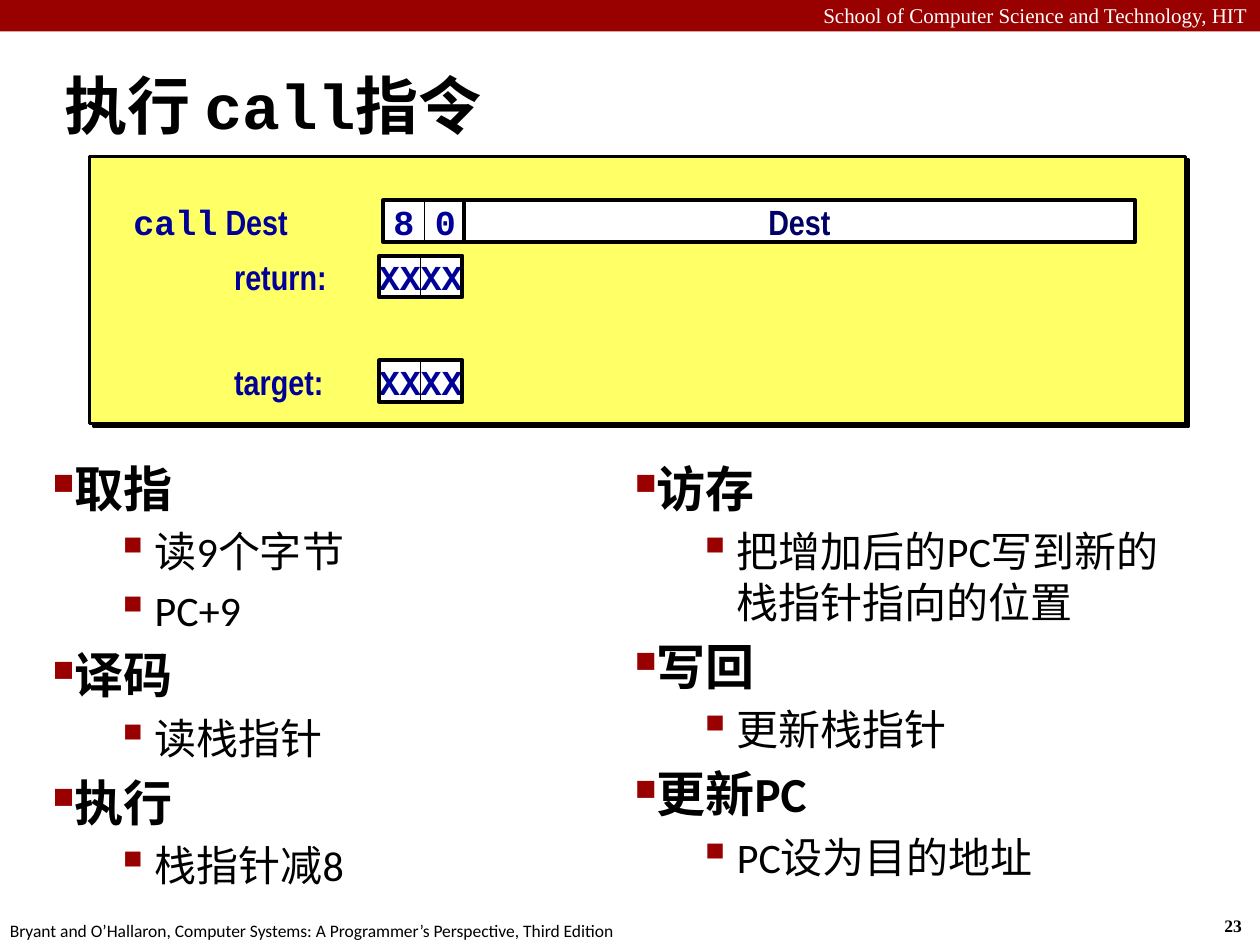
from dataclasses import dataclass

import pptx
import pptx.dml.color
import pptx.enum.shapes
import pptx.enum.text
import pptx.oxml
import pptx.oxml.ns
import pptx.util
from pptx.util import Inches

COLORS = {
    "crimson": "990000",
    "panel": "FFFF66",
    "code": "000099",
    "operand": "000066",
    "black": "000000",
    "white": "FFFFFF",
}
SANS, SERIF, MONO, NARROW = "Calibri", "Times New Roman", "Courier New", "Arial Narrow"
LEFT = pptx.enum.text.PP_ALIGN.LEFT
CENTER = pptx.enum.text.PP_ALIGN.CENTER
RIGHT = pptx.enum.text.PP_ALIGN.RIGHT
TOP = pptx.enum.text.MSO_ANCHOR.TOP
MIDDLE = pptx.enum.text.MSO_ANCHOR.MIDDLE
CELL = 0.33


@dataclass(frozen=True)
class Run:
    text: str
    size: float
    font: str
    color: str
    bold: bool = True


@dataclass(frozen=True)
class Instruction:
    label: tuple[Run, ...]
    label_left: float
    label_width: float
    top: float
    bytes_left: float
    byte_values: tuple[str, str]


@dataclass(frozen=True)
class Stage:
    name: str
    steps: tuple[str, ...]


@dataclass(frozen=True)
class StageColumn:
    left: float
    width: float
    stages: tuple[Stage, ...]


@dataclass(frozen=True)
class BulletLevel:
    size: float
    bold: bool
    mark: str
    mark_percent: int
    margin: float
    indent: float


STAGE_LEVEL = BulletLevel(28, True, "■", 60, 0, 0)
STEP_LEVEL = BulletLevel(24, False, "▪", 110, 0.81, -0.31)

INSTRUCTIONS = (
    Instruction((Run("call", 20, MONO, "code"), Run(" Dest", 20, NARROW, "code")),
                0.96, 2.09, 1.59, 3.04, ("8", "0")),
    Instruction((Run("return:", 20, NARROW, "code"),), 1.76, 1.22, 2.03, 3.01, ("XX", "XX")),
    Instruction((Run("target:", 20, NARROW, "code"),), 1.76, 1.22, 2.86, 3.01, ("XX", "XX")),
)

COLUMNS = (
    StageColumn(0.32, 4.6, (
        Stage("取指", ("读9个字节", "PC+9")),
        Stage("译码", ("读栈指针",)),
        Stage("执行", ("栈指针减8",)),
    )),
    StageColumn(4.94, 4.46, (
        Stage("访存", ("把增加后的PC写到新的栈指针指向的位置",)),
        Stage("写回", ("更新栈指针",)),
        Stage("更新PC", ("PC设为目的地址",)),
    )),
)


def rgb(color: str) -> pptx.dml.color.RGBColor:
    return pptx.dml.color.RGBColor.from_string(COLORS[color])


def add_runs(paragraph, runs: tuple[Run, ...]) -> None:
    for item in runs:
        run = paragraph.add_run()
        run.text = item.text
        run.font.size = pptx.util.Pt(item.size)
        run.font.name = item.font
        run.font.bold = item.bold
        run.font.color.rgb = rgb(item.color)


def add_text(slide, left: float, top: float, width: float, height: float,
             runs: tuple[Run, ...], align=LEFT, anchor=TOP):
    box = slide.shapes.add_textbox(Inches(left), Inches(top), Inches(width), Inches(height))
    box.text_frame.word_wrap = True
    box.text_frame.vertical_anchor = anchor
    paragraph = box.text_frame.paragraphs[0]
    paragraph.alignment = align
    add_runs(paragraph, runs)
    return box


def add_box(slide, left: float, top: float, width: float, height: float,
            fill: str = "", line_width: float = 0, runs: tuple[Run, ...] = ()):
    box = slide.shapes.add_shape(pptx.enum.shapes.MSO_SHAPE.RECTANGLE,
                                 Inches(left), Inches(top), Inches(width), Inches(height))
    box.shadow.inherit = False
    if fill:
        box.fill.solid()
        box.fill.fore_color.rgb = rgb(fill)
    else:
        box.fill.background()
    if line_width:
        box.line.color.rgb = rgb("black")
        box.line.width = pptx.util.Pt(line_width)
    else:
        box.line.fill.background()
    if runs:
        box.text_frame.word_wrap = False
        box.text_frame.vertical_anchor = MIDDLE
        paragraph = box.text_frame.paragraphs[0]
        paragraph.alignment = CENTER
        add_runs(paragraph, runs)
    return box


def add_hard_shadow(box) -> None:
    effects = box._element.spPr.find(pptx.oxml.ns.qn("a:effectLst"))
    effects.append(pptx.oxml.parse_xml(
        f'<a:outerShdw {pptx.oxml.ns.nsdecls("a")} blurRad="0" dist="{pptx.util.Pt(2.8)}" '
        f'dir="2700000" algn="ctr" rotWithShape="0">'
        f'<a:srgbClr val="{COLORS["black"]}"/></a:outerShdw>'))


def add_instruction(slide, row: Instruction) -> None:
    add_text(slide, row.label_left, row.top, row.label_width, CELL, row.label, anchor=MIDDLE)
    for index, value in enumerate(row.byte_values):
        add_box(slide, row.bytes_left + index * CELL, row.top, CELL, CELL, "white", 0.5,
                (Run(value, 20, MONO, "code"),))
    add_box(slide, row.bytes_left, row.top, 2 * CELL, CELL, line_width=2.25)


def set_bullet(paragraph, level: BulletLevel) -> None:
    properties = paragraph._p.get_or_add_pPr()
    properties.set("marL", str(Inches(level.margin)))
    properties.set("indent", str(Inches(level.indent)))
    namespace = pptx.oxml.ns.nsdecls("a")
    for xml in (
        f'<a:buClr {namespace}><a:srgbClr val="{COLORS["crimson"]}"/></a:buClr>',
        f'<a:buSzPct {namespace} val="{level.mark_percent * 1000}"/>',
        f'<a:buChar {namespace} char="{level.mark}"/>',
    ):
        properties.append(pptx.oxml.parse_xml(xml))


def add_stage_column(slide, column: StageColumn) -> None:
    box = slide.shapes.add_textbox(Inches(column.left), Inches(3.59),
                                   Inches(column.width), Inches(3.29))
    frame = box.text_frame
    frame.word_wrap = True
    entries = [entry for stage in column.stages
               for entry in [(stage.name, STAGE_LEVEL), *((step, STEP_LEVEL) for step in stage.steps)]]
    for index, (text, level) in enumerate(entries):
        paragraph = frame.add_paragraph() if index else frame.paragraphs[0]
        paragraph.level = int(level is STEP_LEVEL)
        set_bullet(paragraph, level)
        if index:
            paragraph.space_before = pptx.util.Pt(level.size * 0.2)
        add_runs(paragraph, (Run(text, level.size, SANS, "black", level.bold),))


def main() -> None:
    deck = pptx.Presentation()
    deck.slide_width, deck.slide_height = Inches(10), Inches(7.5)
    slide = deck.slides.add_slide(deck.slide_layouts[6])

    add_box(slide, 0, 0, 10, 0.25, "crimson")
    add_text(slide, 0, -0.03, 10, 0.3,
             (Run("School of Computer Science and Technology, HIT", 12, SERIF, "white", False),), RIGHT)
    add_text(slide, 9.62, 7.21, 0.37, 0.27, (Run("23", 10, SERIF, "black"),))
    add_text(slide, -0.02, 7.25, 5.08, 0.27, (Run(
        "Bryant and O’Hallaron, Computer Systems: A Programmer’s Perspective, Third Edition",
        10, SANS, "black", False),))
    add_text(slide, 0.41, 0.41, 9.51, 0.83,
             (Run("执行 ", 36, SANS, "black"), Run("call指令", 36, MONO, "black")), anchor=MIDDLE)

    for column in COLUMNS:
        add_stage_column(slide, column)

    panel = add_box(slide, 0.71, 1.24, 8.7, 2.12, "panel", 1.5)
    add_hard_shadow(panel)
    for row in INSTRUCTIONS:
        add_instruction(slide, row)
    add_box(slide, 3.68, 1.59, 5.33, CELL, "white", 2.25, (Run("Dest", 20, NARROW, "operand"),))

    deck.save("out.pptx")


if __name__ == "__main__":
    main()
